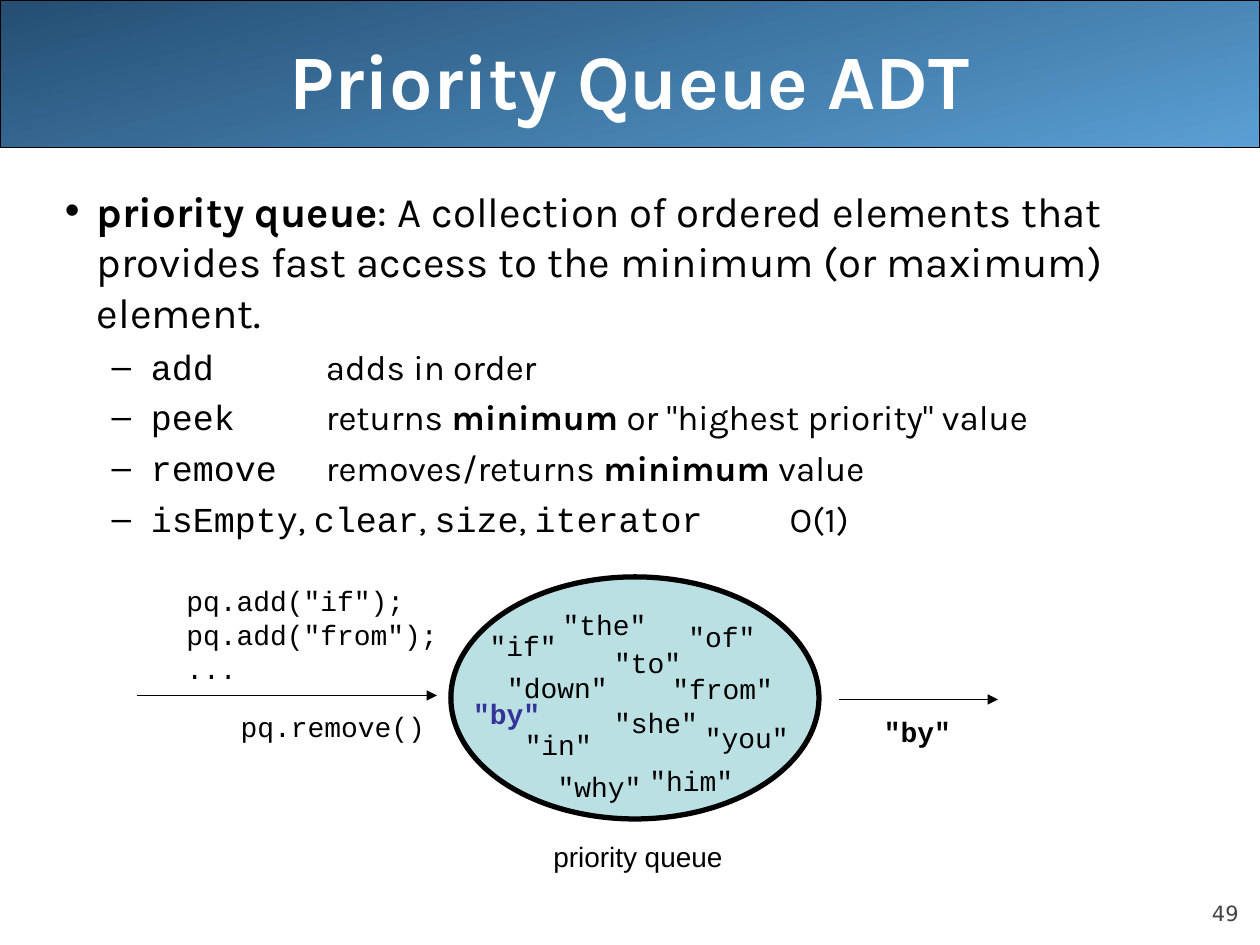
from lxml import etree
from pptx import Presentation
from pptx import util as u
from pptx.dml.color import RGBColor
from pptx.enum import shapes, text
from pptx.oxml import ns

BLACK = RGBColor(0x00, 0x00, 0x00)
WHITE = RGBColor(0xFF, 0xFF, 0xFF)
GREY = RGBColor(0x42, 0x42, 0x42)
NAVY = RGBColor(0x24, 0x4E, 0x72)
SKY = RGBColor(0x5A, 0x9F, 0xD4)
AQUA = RGBColor(0xBB, 0xE0, 0xE3)
INDIGO = RGBColor(0x33, 0x33, 0x99)

SANS, MONO = "Karla", "Courier New"
LEFT, MID, RIGHT = text.PP_ALIGN.LEFT, text.PP_ALIGN.CENTER, text.PP_ALIGN.RIGHT

# left margin, hanging indent, space before, bullet, text size
LEVELS = [
    (1.27, -0.64, 6, "•", 24),
    (2.36, -0.79, 5, "–", 20),
]
TABS = [2.39, 3.18, 5.89, 7.62, 10.16, 12.7, 15.24, 17.78]

M = {"name": MONO}
B = {"bold": True}
BODY = [
    (0, [("priority queue", B),
         (": A collection of ordered elements that provides fast access "
          "to the minimum (or maximum) element.", {})]),
    (1, [("add\t", M), ("adds in order", {})]),
    (1, [("peek\t", M), ("returns ", {}), ("minimum", B),
         (' or "highest priority" value', {})]),
    (1, [("remove\t", M), ("removes/returns ", {}), ("minimum", B),
         (" value", {})]),
    (1, [("isEmpty", M), (", ", {}), ("clear", M), (", ", {}), ("size", M),
         (", ", {}), ("iterator\t", M), ("O(1)", {})]),
]

WORDS = [
    ("the", 11.1, 12.12), ("of", 13.64, 12.37), ("from", 13.31, 13.41),
    ("to", 12.14, 12.88), ("she", 12.14, 14.1), ("you", 13.97, 14.4),
    ("him", 12.85, 15.27), ("why", 11, 15.39), ("in", 10.34, 14.55),
    ("down", 9.98, 13.39), ("if", 9.63, 12.55),
]


def sub(node, tag, **attrs):
    return etree.SubElement(node, ns.qn(tag), attrs)


def cm(*vals):
    return [u.Cm(v) for v in vals]


class Deck:
    def __init__(self):
        self.prs = Presentation()
        self.prs.slide_width, self.prs.slide_height = cm(25.4, 19.05)
        self.slide = self.prs.slides.add_slide(self.prs.slide_layouts[6])
        self.font = {"name": MONO, "size": 16, "bold": False, "color": BLACK}

    def run(self, para, words, **style):
        run = para.add_run()
        run.text = words
        style = {**self.font, **style}
        run.font.color.rgb = style.pop("color")
        style["size"] = u.Pt(style["size"])
        for key, val in style.items():
            setattr(run.font, key, val)

    def frame(self, box, **form):
        """Add an empty text box and return its text frame."""
        frame = self.slide.shapes.add_textbox(*cm(*box)).text_frame
        for key, val in {"word_wrap": True, **form}.items():
            setattr(frame, key, val)
        return frame

    def label(self, words, box, align=RIGHT, form=None, pitch=None, **style):
        frame = self.frame(box, **(form or {}))
        for i, line in enumerate(words.split("\n")):
            para = frame.add_paragraph() if i else frame.paragraphs[0]
            para.alignment = align
            if pitch:
                para.line_spacing = u.Pt(pitch)
            self.run(para, line, **style)

    def code(self, words, left, top, **style):
        """Add one line of code, with spare room on the left of its box."""
        width = 0.98 + 0.34 * len(words)
        self.label(words, (left - 0.5, top, width, 0.94), **style)

    def bullets(self, items, box):
        frame = self.frame(box)
        for i, (level, runs) in enumerate(items):
            para = frame.add_paragraph() if i else frame.paragraphs[0]
            margin, hang, before, mark, size = LEVELS[level]
            para.level = level
            props = para._p.get_or_add_pPr()
            props.set("marL", str(u.Cm(margin)))
            props.set("indent", str(u.Cm(hang)))
            sub(sub(props, "a:buClr"), "a:srgbClr", val=str(BLACK))
            sub(props, "a:buFont", typeface="Arial")
            sub(props, "a:buChar", char=mark)
            tabs = sub(props, "a:tabLst")
            for pos in TABS:
                sub(tabs, "a:tab", pos=str(u.Cm(pos)), algn="l")
            if i:
                para.space_before = u.Pt(before)
            for words, style in runs:
                self.run(para, words, **{"name": SANS, "size": size, **style})

    def shape(self, kind, box, width):
        shape = self.slide.shapes.add_shape(kind, *cm(*box))
        shape.shadow.inherit = False
        shape.line.color.rgb = BLACK
        shape.line.width = u.Pt(width)
        return shape

    def banner(self, box):
        shape = self.shape(shapes.MSO_SHAPE.RECTANGLE, box, 0.75)
        shape.fill.gradient()
        shape.fill.gradient_angle = 285
        for stop, color in zip(shape.fill.gradient_stops, (NAVY, SKY)):
            stop.color.rgb = color

    def oval(self, box):
        shape = self.shape(shapes.MSO_SHAPE.OVAL, box, 3)
        shape.fill.solid()
        shape.fill.fore_color.rgb = AQUA

    def arrow(self, left, right, y):
        line = self.slide.shapes.add_connector(
            shapes.MSO_CONNECTOR.STRAIGHT, *cm(left, y, right, y))
        line.line.color.rgb = BLACK
        line.line.width = u.Pt(0.75)
        sub(line.line._get_or_add_ln(), "a:tailEnd", type="triangle")
        sub(line._element.spPr, "a:effectLst")


def main():
    deck = Deck()
    deck.banner((0, 0, 25.4, 2.97))
    flush = dict.fromkeys(
        ("margin_left", "margin_top", "margin_right", "margin_bottom"), 0)
    deck.label("49", (22.86, 17.65, 2.11, 1.02), name="DejaVu Sans", size=12,
               color=GREY,
               form={"vertical_anchor": text.MSO_ANCHOR.BOTTOM, **flush})
    deck.label("Priority Queue ADT", (1.27, 0, 22.86, 3.18), MID, name=SANS,
               size=44, bold=True, color=WHITE,
               form={"vertical_anchor": text.MSO_ANCHOR.MIDDLE})
    deck.bullets(BODY, (0.43, 3.61, 24.97, 14.4))

    deck.arrow(2.77, 8.81, 14.02)
    deck.label('pq.add("if");\npq.add("from");\n...',
               (3.51, 11.63, 6.2, 2.29), LEFT, pitch=19.4)
    deck.arrow(16.92, 20.12, 14.1)
    deck.label("priority queue", (10.36, 16.79, 5, 0.94), MID, name="Arial")
    deck.oval((9.09, 11.63, 7.42, 4.88))
    for word, left, top in WORDS:
        deck.code(f'"{word}"', left, top)
    deck.code('"by"', 9.3, 13.92, bold=True, color=INDIGO)
    deck.code("pq.remove()", 4.6, 14.17)
    deck.code('"by"', 17.58, 14.27, bold=True)
    deck.prs.save("out.pptx")


if __name__ == "__main__":
    main()
